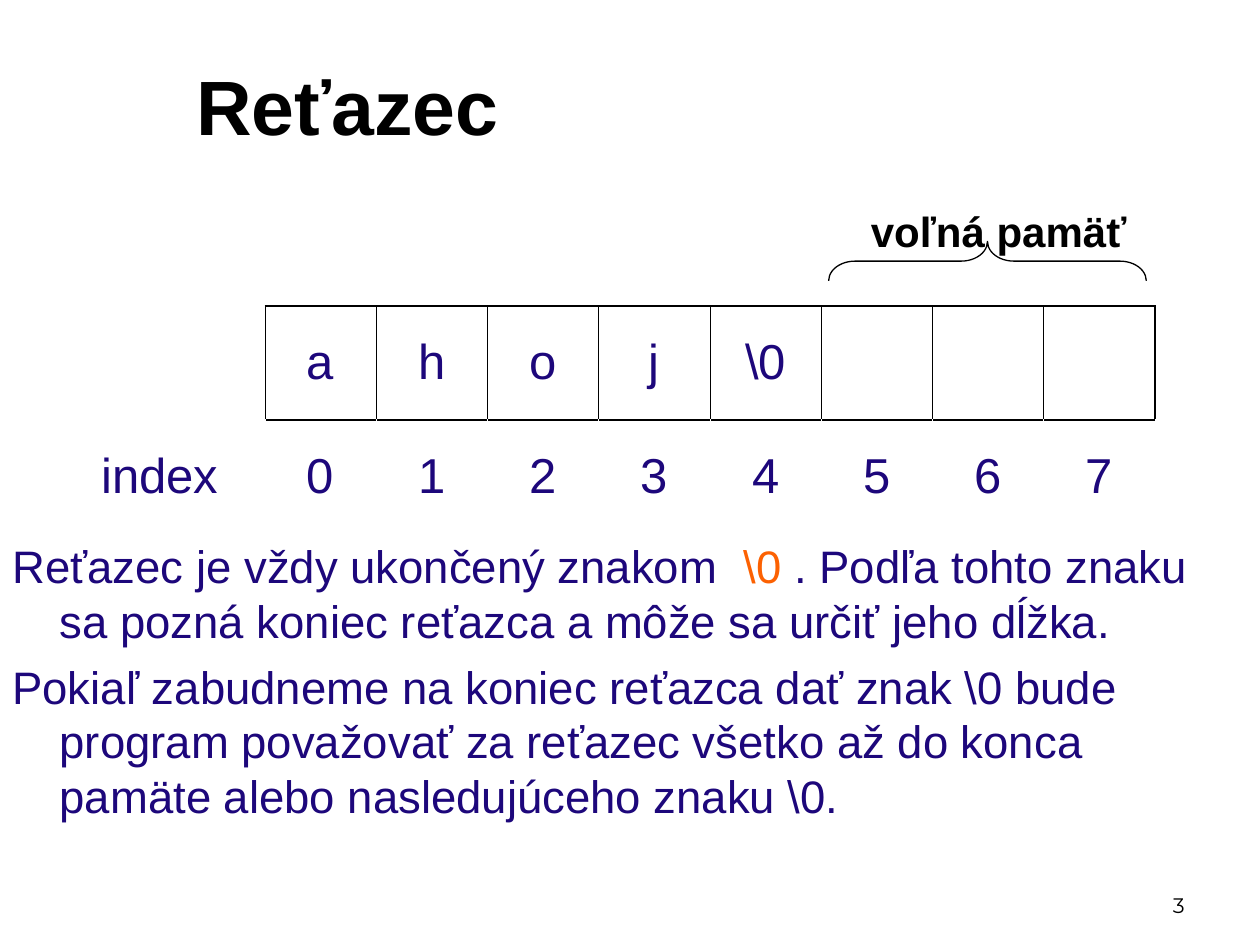
from lxml.etree import SubElement
from pptx import Presentation
from pptx.dml.color import RGBColor
from pptx.enum.shapes import MSO_SHAPE
from pptx.enum.text import MSO_ANCHOR, PP_ALIGN
from pptx.oxml.ns import qn
from pptx.util import Pt

BLACK = RGBColor(0x00, 0x00, 0x00)
WHITE = RGBColor(0xFF, 0xFF, 0xFF)
NAVY = RGBColor(0x1D, 0x07, 0x7B)
ORANGE = RGBColor(0xFC, 0x61, 0x02)


def write(para, text, size=26, color=NAVY, bold=False, font="Arial", align=PP_ALIGN.LEFT):
    para.alignment = align
    span = para.add_run()
    span.text = text
    span.font.name = font
    span.font.size = Pt(size)
    span.font.bold = bold
    span.font.color.rgb = color


def set_border(cell, side, color, width):
    line = SubElement(cell._tc.get_or_add_tcPr(), qn(f"a:ln{side}"), w=str(Pt(width)))
    fill = SubElement(line, qn("a:solidFill"))
    SubElement(fill, qn("a:srgbClr"), val=str(color))


deck = Presentation()
deck.slide_width, deck.slide_height = Pt(720), Pt(540)
page = deck.slides.add_slide(deck.slide_layouts[5])

title = page.shapes.title
title.left, title.top, title.width, title.height = Pt(105), Pt(6), Pt(579), Pt(108)
title.text_frame.vertical_anchor = MSO_ANCHOR.MIDDLE
write(title.text_frame.paragraphs[0], "Reťazec", size=44, color=BLACK, bold=True)

body = page.shapes.add_textbox(Pt(0), Pt(304), Pt(720), Pt(203)).text_frame
body.word_wrap = True
ending = body.paragraphs[0]
write(ending, "Reťazec je vždy ukončený znakom  ")
write(ending, "\\0", color=ORANGE)
write(ending, " . Podľa tohto znaku sa pozná koniec reťazca a môže sa určiť jeho dĺžka.")
warning = body.add_paragraph()
warning.space_before = Pt(6.5)
write(warning, "Pokiaľ zabudneme na koniec reťazca dať znak \\0 bude program považovať "
      "za reťazec všetko až do konca pamäte alebo nasledujúceho znaku \\0.")
for para in body.paragraphs:
    properties = para._p.get_or_add_pPr()
    properties.set("marL", str(Pt(27)))
    properties.set("indent", str(Pt(-27)))

rows = [["", "a", "h", "o", "j", "\\0", "", "", ""],
        ["index", *map(str, range(8))]]
frame = page.shapes.add_table(2, 9, Pt(31), Pt(175), Pt(629.2), Pt(129.6))
table = frame.table
table.first_row = table.horz_banding = False
for number, column in enumerate(table.columns):
    column.width = Pt(63.6) if number else Pt(120.4)
for row_number, texts in enumerate(rows):
    table.rows[row_number].height = Pt(64.8)
    for number, text in enumerate(texts):
        cell = table.cell(row_number, number)
        cell.vertical_anchor = MSO_ANCHOR.MIDDLE
        if text:
            write(cell.text_frame.paragraphs[0], text, size=28, align=PP_ALIGN.CENTER)
        memory = row_number == 0 and number > 0
        ink = BLACK if memory else WHITE
        set_border(cell, "L", ink, 0.45)
        set_border(cell, "R", BLACK if row_number == 0 else WHITE, 1.08 if memory and number == 8 else 0.45)
        above = BLACK if number else WHITE
        set_border(cell, "T", above, 1.08 if number else 0.45)
        set_border(cell, "B", ink, 1.08 if memory else 0.45)
        cell.fill.background()

brace = page.shapes.add_shape(MSO_SHAPE.LEFT_BRACE, Pt(553), Pt(58.5), Pt(22.5), Pt(181.5))
brace.rotation = 90
brace.adjustments[0] = 0.67
brace.shadow.inherit = False
brace.fill.background()
brace.line.color.rgb = BLACK
brace.line.width = Pt(0.75)

label = page.shapes.add_textbox(Pt(490.5), Pt(114), Pt(165), Pt(36)).text_frame
label.word_wrap = True
write(label.paragraphs[0], "voľná pamäť", size=24, color=BLACK, bold=True)

number_box = page.shapes.add_textbox(Pt(516), Pt(492), Pt(168), Pt(36)).text_frame
number_box.word_wrap = True
number_box.vertical_anchor = MSO_ANCHOR.BOTTOM
write(number_box.paragraphs[0], "3", size=12, color=BLACK, font="Montserrat", align=PP_ALIGN.RIGHT)

deck.save("out.pptx")
